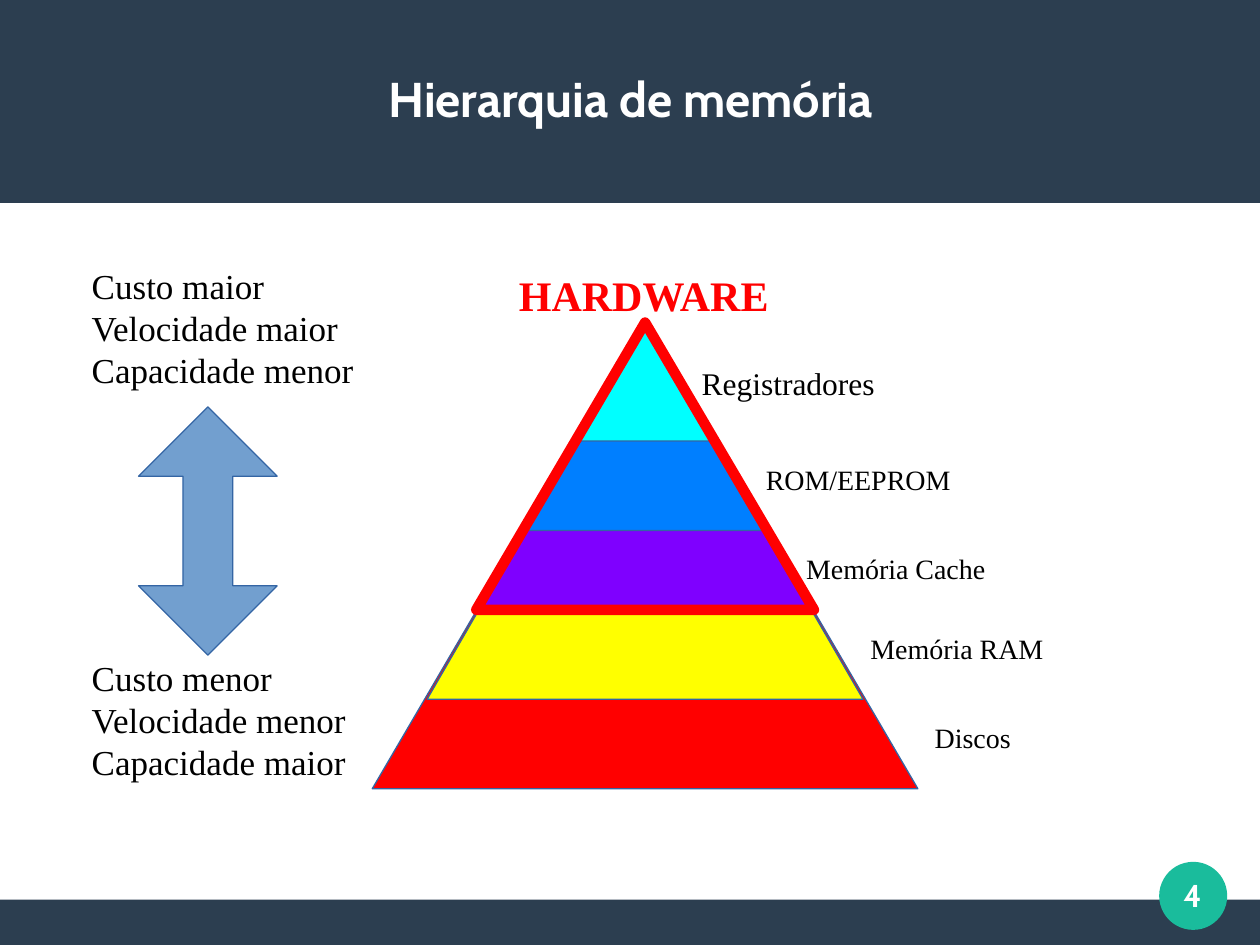
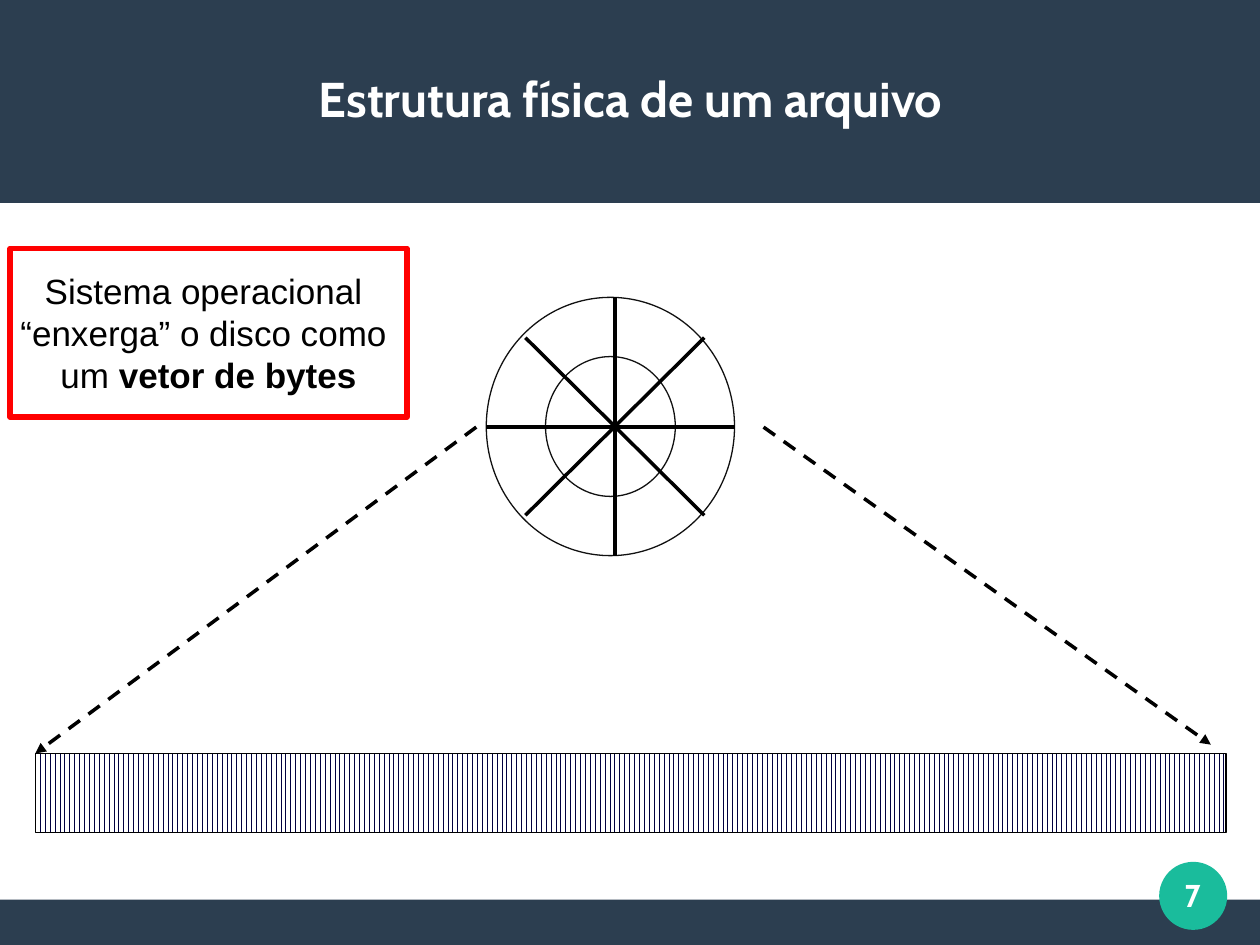
"""Builds two slides on the memory hierarchy and the physical structure of a file."""
from dataclasses import dataclass

from lxml import etree
from pptx import Presentation
from pptx.dml.color import RGBColor
from pptx.enum import dml, shapes, text
from pptx.oxml import ns
from pptx.util import Inches, Pt


@dataclass(frozen=True)
class Theme:
    navy: str = "2C3E50"
    teal: str = "1ABC9C"
    white: str = "FFFFFF"
    black: str = "000000"
    ring: str = "111111"
    stripe: str = "000040"
    red: str = "FF0000"
    yellow: str = "FFFF00"
    violet: str = "7F00FF"
    blue: str = "007FFF"
    cyan: str = "00FFFF"
    arrow: str = "729FCF"
    edge: str = "3465A4"
    heading_font: str = "Cabin"
    label_font: str = "Times New Roman"
    note_font: str = "Arial"
    title_size: float = 27.9
    hardware_size: float = 24
    note_size: float = 20
    number_size: float = 18
    first_label_size: float = 18
    label_size: float = 16


THEME = Theme()
SHAPE = shapes.MSO_SHAPE
CENTER = text.PP_ALIGN.CENTER
MIDDLE = text.MSO_ANCHOR.MIDDLE


def rgb(value):
    return RGBColor.from_string(value)


class Slides:
    """Holds the deck and the current page, and draws each kind of element."""

    def __init__(self):
        self.deck = Presentation()
        self.deck.slide_width, self.deck.slide_height = Inches(10), Inches(7.5)
        self.page = None

    def start(self, title, number):
        self.page = self.deck.slides.add_slide(self.deck.slide_layouts[5])
        self.shape(SHAPE.RECTANGLE, 0, 7.14, 10, 0.36, THEME.navy)
        self.shape(SHAPE.RECTANGLE, 0, 0, 10, 1.61, THEME.navy)
        self.shape(SHAPE.OVAL, 9.2, 6.84, 0.54, 0.54, THEME.teal)
        heading = self.page.shapes.title
        heading.left, heading.top = Inches(0.36), Inches(0.3)
        heading.width, heading.height = Inches(9.29), Inches(0.95)
        heading.element.getparent().append(heading.element)
        self.set_text(heading, title, THEME.title_size, THEME.heading_font,
                      THEME.white, True, CENTER, MIDDLE, (0, 0))
        self.label(number, 9.11, 6.75, 0.71, 0.71, THEME.number_size, THEME.heading_font,
                   THEME.white, True, CENTER, MIDDLE, (0, 0))

    def shape(self, kind, left, top, width, height, fill=None, line=None, weight=0, adjust=()):
        item = self.page.shapes.add_shape(
            kind, Inches(left), Inches(top), Inches(width), Inches(height))
        item.shadow.inherit = False
        if fill:
            item.fill.solid()
            item.fill.fore_color.rgb = rgb(fill)
        else:
            item.fill.background()
        if line:
            item.line.color.rgb = rgb(line)
            item.line.width = Pt(weight)
            etree.SubElement(item.element.spPr.find(ns.qn("a:ln")), ns.qn("a:round"))
        else:
            item.line.fill.background()
        for index, value in enumerate(adjust):
            item.adjustments[index] = value
        return item

    def line(self, start, end, arrow=False):
        item = self.page.shapes.add_connector(
            shapes.MSO_CONNECTOR.STRAIGHT, *(Inches(value) for value in (*start, *end)))
        item.line.color.rgb = rgb(THEME.black)
        item.line.width = Pt(0)
        properties = item.element.spPr
        if arrow:
            item.line.dash_style = dml.MSO_LINE.DASH
            etree.SubElement(properties.find(ns.qn("a:ln")), ns.qn("a:tailEnd"), type="triangle")
        etree.SubElement(properties, ns.qn("a:effectLst"))

    def style_span(self, span, size, font, color, bold):
        span.font.size, span.font.name, span.font.bold = Pt(size), font, bold
        span.font.color.rgb = rgb(color)

    def set_text(self, box, words, size, font, color=THEME.black, bold=False,
                 align=text.PP_ALIGN.LEFT, anchor=text.MSO_ANCHOR.TOP, inset=(0.1, 0.05)):
        frame = box.text_frame
        frame.text = words
        frame.word_wrap = True
        frame.auto_size = text.MSO_AUTO_SIZE.NONE
        frame.vertical_anchor = anchor
        frame.margin_left = frame.margin_right = Inches(inset[0])
        frame.margin_top = frame.margin_bottom = Inches(inset[1])
        for para in frame.paragraphs:
            para.alignment = align
            for span in para.runs:
                self.style_span(span, size, font, color, bold)

    def label(self, words, left, top, width, height, size, font=THEME.label_font, *style):
        box = self.page.shapes.add_textbox(
            Inches(left), Inches(top), Inches(width), Inches(height))
        self.set_text(box, words, size, font, *style)


def memory_hierarchy(slides):
    slides.start("Hierarquia de memória", "4")
    center, apex = 5.12, 2.56
    small, large = THEME.label_size, THEME.first_label_size
    levels = [
        (4.33, 3.7, THEME.red, "Discos", 7.32, 5.67, small),
        (3.46, 2.99, THEME.yellow, "Memória RAM", 6.81, 4.96, small),
        (2.68, 2.28, THEME.violet, "Memória Cache", 6.3, 4.33, small),
        (1.93, 1.65, THEME.blue, "ROM/EEPROM", 5.98, 3.62, small),
        (1.14, 0.94, THEME.cyan, "Registradores", 5.47, 2.84, large),
    ]
    for width, height, color, name, left, top, size in levels:
        slides.shape(SHAPE.ISOSCELES_TRIANGLE, center - width / 2, apex, width, height,
                     color, THEME.edge)
        slides.label(name, left, top, 2.05, 0.4, size)
    width, height = levels[2][:2]
    slides.shape(SHAPE.ISOSCELES_TRIANGLE, center - width / 2, apex, width, height,
                 line=THEME.red, weight=6)
    slides.label("HARDWARE", 4.02, 2.09, 2.87, 0.9, THEME.hardware_size,
                 THEME.label_font, THEME.red, True)
    slides.shape(SHAPE.UP_DOWN_ARROW, 1.1, 3.23, 1.1, 1.97, THEME.arrow, THEME.edge,
                 adjust=(0.5, 0.36))
    for words, top in (("Custo maior\nVelocidade maior\nCapacidade menor", 2.05),
                       ("Custo menor\nVelocidade menor\nCapacidade maior", 5.16)):
        slides.label(words, 0.63, top, 2.44, 1.18, THEME.note_size)


def file_structure(slides):
    slides.start("Estrutura física de um arquivo", "7")
    for inset in (0, 0.47):
        slides.shape(SHAPE.OVAL, 3.86 + inset, 2.36 + inset, 1.97 - 2 * inset,
                     2.05 - 2 * inset, line=THEME.ring)
    for start, end in (((3.86, 3.39), (5.83, 3.39)), ((4.88, 2.36), (4.88, 4.41)),
                       ((4.17, 2.68), (5.59, 4.09)), ((4.17, 4.09), (5.59, 2.68))):
        slides.line(start, end)
    vector = slides.shape(SHAPE.RECTANGLE, 0.28, 5.98, 9.45, 0.63, line=THEME.black)
    vector.fill.patterned()
    vector.fill.pattern = dml.MSO_PATTERN.VERTICAL
    vector.fill.fore_color.rgb = rgb(THEME.stripe)
    vector.fill.back_color.rgb = rgb(THEME.white)
    slides.line((3.78, 3.39), (0.28, 5.98), arrow=True)
    slides.line((6.06, 3.39), (9.61, 5.91), arrow=True)
    note = slides.shape(SHAPE.RECTANGLE, 0.08, 1.97, 3.15, 1.34, line=THEME.red, weight=3)
    slides.set_text(note, "Sistema operacional \n“enxerga” o disco como \num ", THEME.note_size,
                    THEME.note_font, align=CENTER, anchor=MIDDLE, inset=(0.12, 0.07))
    note.text_frame.word_wrap = False
    span = note.text_frame.paragraphs[-1].add_run()
    span.text = "vetor de bytes"
    slides.style_span(span, THEME.note_size, THEME.note_font, THEME.black, True)


def main():
    slides = Slides()
    memory_hierarchy(slides)
    file_structure(slides)
    slides.deck.save("out.pptx")


if __name__ == "__main__":
    main()
